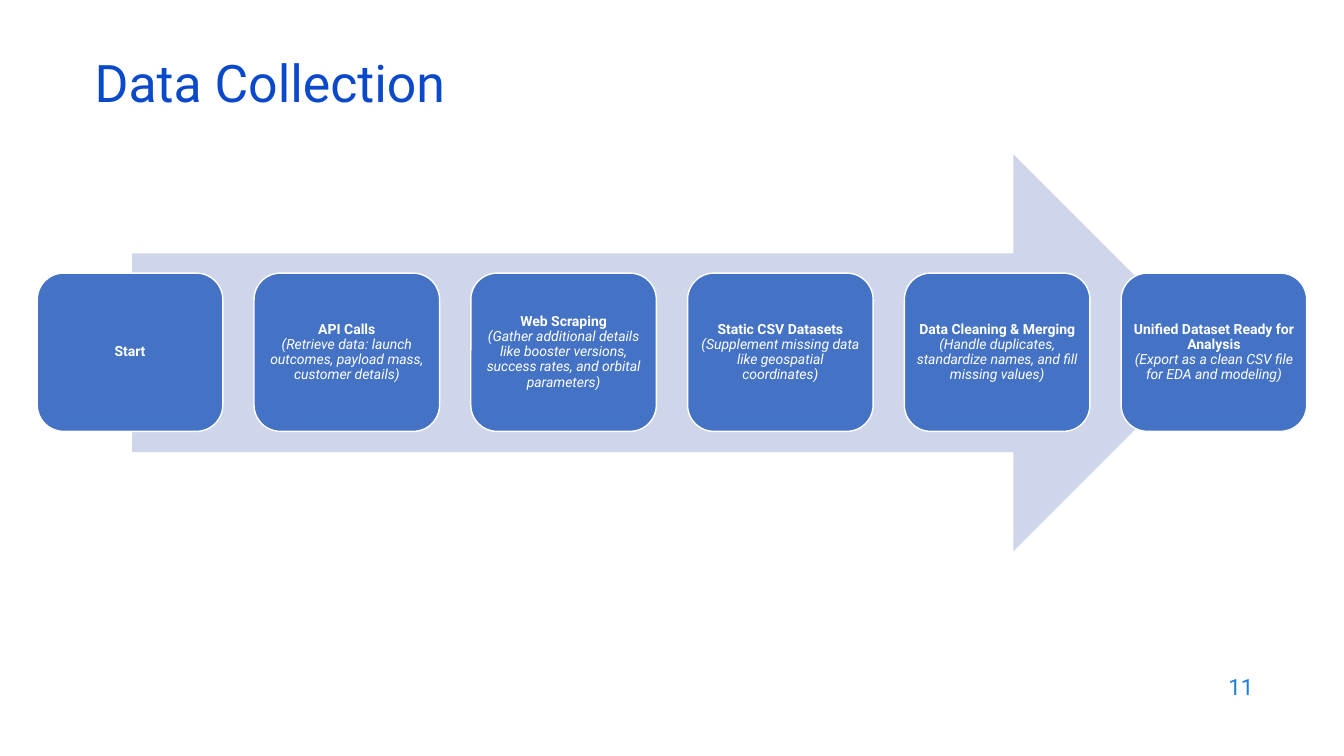
from copy import deepcopy
from dataclasses import dataclass

from pptx import Presentation
from pptx.dml.color import RGBColor as Rgb
from pptx.enum.shapes import MSO_SHAPE as Kind
from pptx.enum.text import MSO_ANCHOR as Anchor, PP_ALIGN as Align
from pptx.util import Inches, Pt

WIDE, HIGH = 13.33, 7.5
LEFT, TOP = 0.37, 2.71
PITCH, CARD_W, CARD_H = 2.15, 1.84, 1.57


@dataclass(frozen=True)
class Theme:
    face: str = "Roboto"
    title: str = "0B49CB"
    number: str = "1C7DDB"
    arrow: str = "CFD5EA"
    card: str = "4472C4"
    white: str = "FFFFFF"
    title_pt: int = 37
    number_pt: int = 16
    card_pt: int = 10


THEME = Theme()
STEPS = [
    ("Start", ""),
    ("API Calls", "(Retrieve data: launch outcomes, payload mass, customer details)"),
    ("Web Scraping", "(Gather additional details like booster versions, "
                     "success rates, and orbital parameters)"),
    ("Static CSV Datasets", "(Supplement missing data like geospatial coordinates)"),
    ("Data Cleaning & Merging", "(Handle duplicates, standardize names, "
                                "and fill missing values)"),
    ("Unified Dataset Ready for Analysis", "(Export as a clean CSV file "
                                           "for EDA and modeling)"),
]


def write(shape, text, *, size, color, note="", bold=None,
          align=Align.LEFT, gap=1.0, inset=None):
    """Fill a shape with text and, on a new line, an italic note."""
    frame = shape.text_frame
    frame.word_wrap = True
    frame.vertical_anchor = Anchor.MIDDLE
    if inset is not None:
        frame.margin_left = frame.margin_right = Inches(inset)
        frame.margin_top = frame.margin_bottom = Inches(inset)
    para = frame.paragraphs[0]
    para.alignment, para.line_spacing = align, gap

    def add(words, **style):
        run = para.add_run()
        run.text = words
        font = run.font
        font.name, font.size = THEME.face, Pt(size)
        font.color.rgb = Rgb.from_string(color)
        for key, value in style.items():
            setattr(font, key, value)
        return run

    head = add(text, bold=bold)
    if note:
        para.add_line_break()
        # The break takes the heading's type size, so it keeps the line height.
        para._p[-1].append(deepcopy(head._r.rPr))
        add(note, bold=False, italic=True)


def label(slide, box, text, **style):
    write(slide.shapes.add_textbox(*map(Inches, box)), text, **style)


def block(slide, kind, box, fill, line=None):
    shape = slide.shapes.add_shape(kind, *map(Inches, box))
    shape.shadow.inherit = False
    shape.fill.solid()
    shape.fill.fore_color.rgb = Rgb.from_string(fill)
    if line:
        shape.line.color.rgb = Rgb.from_string(line)
        shape.line.width = Pt(1)
    else:
        shape.line.fill.background()
    return shape


def card(slide, col, head, note):
    box = (LEFT + col * PITCH, TOP, CARD_W, CARD_H)
    shape = block(slide, Kind.ROUNDED_RECTANGLE, box, THEME.card, THEME.white)
    write(shape, head, note=note, size=THEME.card_pt, color=THEME.white,
          bold=True, align=Align.CENTER, gap=0.9, inset=0.04)


def main():
    deck = Presentation()
    deck.slide_width, deck.slide_height = Inches(WIDE), Inches(HIGH)
    slide = deck.slides.add_slide(deck.slide_layouts[6])

    label(slide, (9.53, 6.59, 3, 0.44), "11", size=THEME.number_pt,
          color=THEME.number, align=Align.RIGHT)
    block(slide, Kind.RIGHT_ARROW, (1.31, 1.53, 10.71, 3.94), THEME.arrow)
    for col, (head, note) in enumerate(STEPS):
        card(slide, col, head, note)
    label(slide, (0.84, 0.59, 11.5, 0.6), "Data Collection",
          size=THEME.title_pt, color=THEME.title, gap=0.7)

    deck.save("out.pptx")


if __name__ == "__main__":
    main()
